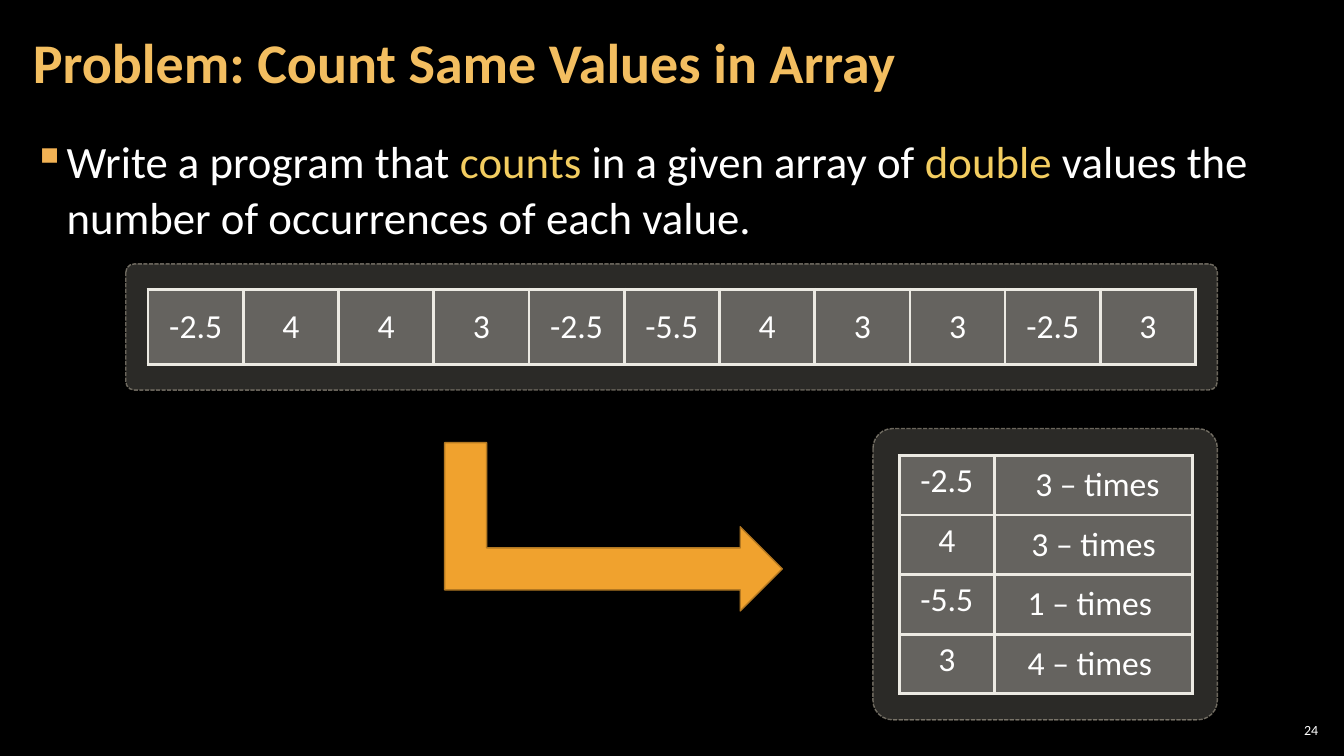
"""Build the slide on counting same values in an array."""
from lxml import etree
from pptx import Presentation
from pptx.dml.color import RGBColor
from pptx.enum.dml import MSO_LINE
from pptx.enum.shapes import MSO_SHAPE
from pptx.enum.text import MSO_ANCHOR, PP_ALIGN
from pptx.oxml import parse_xml
from pptx.oxml.ns import qn
from pptx.util import Cm, Pt

ROUND, BENT = MSO_SHAPE.ROUNDED_RECTANGLE, MSO_SHAPE.BENT_UP_ARROW
DASH = MSO_LINE.SQUARE_DOT
TOP, MID = MSO_ANCHOR.TOP, MSO_ANCHOR.MIDDLE
LEFT, CENTER, RIGHT = PP_ALIGN.LEFT, PP_ALIGN.CENTER, PP_ALIGN.RIGHT
NS = "http://schemas.openxmlformats.org/drawingml/2006/main"
rgb = RGBColor.from_string


def style(para, size, color, align):
    para.alignment = align
    para.font.name = "Calibri"
    para.font.size = Pt(size)
    para.font.color.rgb = rgb(color)


def fade(color, share):
    etree.SubElement(color, qn("a:alpha")).set("val", str(share * 1000))


deck = Presentation()
deck.slide_width, deck.slide_height = Cm(33.87), Cm(19.05)
slide = deck.slides.add_slide(deck.slide_layouts[5])
slide.background.fill.solid()
slide.background.fill.fore_color.rgb = rgb("000000")
shapes = slide.shapes

title = shapes.title
title.left, title.top, title.width, title.height = Cm(0.53), Cm(0.1), Cm(26.59), Cm(3.07)
title.text_frame.text = "Problem: Count Same Values in Array"
head = title.text_frame.paragraphs[0]
style(head, 40, "F3BE60", LEFT)
head.font.bold = True
head.line_spacing = 0.9

body = shapes.add_textbox(Cm(0.53), Cm(3.2), Cm(32.79), Cm(15.47))
task = body.text_frame.paragraphs[0]
style(task, 32, "FFFFFF", LEFT)
task.line_spacing = 1.05
task.space_before = task.space_after = Pt(6)
for text, color in [
    ("Write a program that ", "FFFFFF"),
    ("counts", "F3CD60"),
    (" in a given array of ", "FFFFFF"),
    ("double", "F3CD60"),
    (" values the number of occurrences of each value.", "FFFFFF"),
]:
    run = task.add_run()
    run.text = text
    run.font.color.rgb = rgb(color)
props = task._p.get_or_add_pPr()
props.set("marL", str(Cm(0.85)))
props.set("indent", str(-Cm(0.85)))
tint = etree.SubElement(props, qn("a:buClr"))
etree.SubElement(tint, qn("a:srgbClr")).set("val", "F2B254")
etree.SubElement(props, qn("a:buChar")).set("char", "▪")
props.append(props.find(qn("a:defRPr")))

page = shapes.add_textbox(Cm(32.13), Cm(18.14), Cm(1.19), Cm(0.53))
page.text_frame.text = "24"
style(page.text_frame.paragraphs[0], 10, "FFFFFF", RIGHT)

for shape, side, anchor in [(title, 0.3, MID), (body, 0.3, TOP), (page, 0.1, MID)]:
    frame = shape.text_frame
    frame.word_wrap = True
    frame.vertical_anchor = anchor
    frame.margin_left = frame.margin_right = Cm(side)
    frame.margin_top = frame.margin_bottom = Cm(0.1)

array = [["-2.5", "4", "4", "3", "-2.5", "-5.5", "4", "3", "3", "-2.5", "3"]]
counts = [["-2.5", " 3 – times"], ["4", "3 – times"], ["-5.5", "1 – times "], ["3", "4 – times "]]
for panel, spot, widths, height, rows, first in [
    ((3.17, 6.65, 27.51, 3.18), (3.73, 7.29), [2.4] * 11, 1.9, array, MID),
    ((22, 10.8, 8.68, 7.34), (22.66, 11.48), [2.4, 5], 1.5, counts, TOP),
]:
    box = shapes.add_shape(ROUND, *map(Cm, panel))
    box.shadow.inherit = False
    box.adjustments[0] = 0.067
    box.fill.solid()
    box.fill.fore_color.rgb = rgb("D9D5C7")
    box.line.color.rgb = rgb("C7BFAC")
    box.line.width = Pt(1)
    box.line.dash_style = DASH
    for color, share in zip(box._element.spPr.iter(qn("a:srgbClr")), (20, 50)):
        fade(color, share)

    size = Cm(sum(widths)), Cm(height * len(rows))
    table = shapes.add_table(len(rows), len(widths), *map(Cm, spot), *size).table
    table.first_row = table.horz_banding = False
    for col, width in zip(table.columns, widths):
        col.width = Cm(width)
    for r, row in enumerate(rows):
        table.rows[r].height = Cm(height)
        for c, text in enumerate(row):
            cell = table.cell(r, c)
            cell.text = text
            cell.vertical_anchor = MID if c else first
            style(cell.text_frame.paragraphs[0], 24, "FFFFFF", CENTER)
            cell.fill.solid()
            cell.fill.fore_color.rgb = rgb("ECEAE3")
            tcpr = cell._tc.tcPr
            fade(next(tcpr.iter(qn("a:srgbClr"))), 30)
            for i, edge in enumerate("LRTB"):
                tcpr.insert(i, parse_xml(
                    f'<a:ln{edge} xmlns:a="{NS}" w="{Pt(2.25)}"><a:solidFill>'
                    f'<a:srgbClr val="ECEAE3"/></a:solidFill></a:ln{edge}>'))

arrow = shapes.add_shape(BENT, Cm(13.34), Cm(9.02), Cm(4.24), Cm(8.51))
arrow.shadow.inherit = False
arrow.rotation = 90
arrow.fill.solid()
arrow.fill.fore_color.rgb = rgb("F0A22E")
arrow.line.color.rgb = rgb("B27822")
arrow.line.width = Pt(1)

deck.save("out.pptx")
